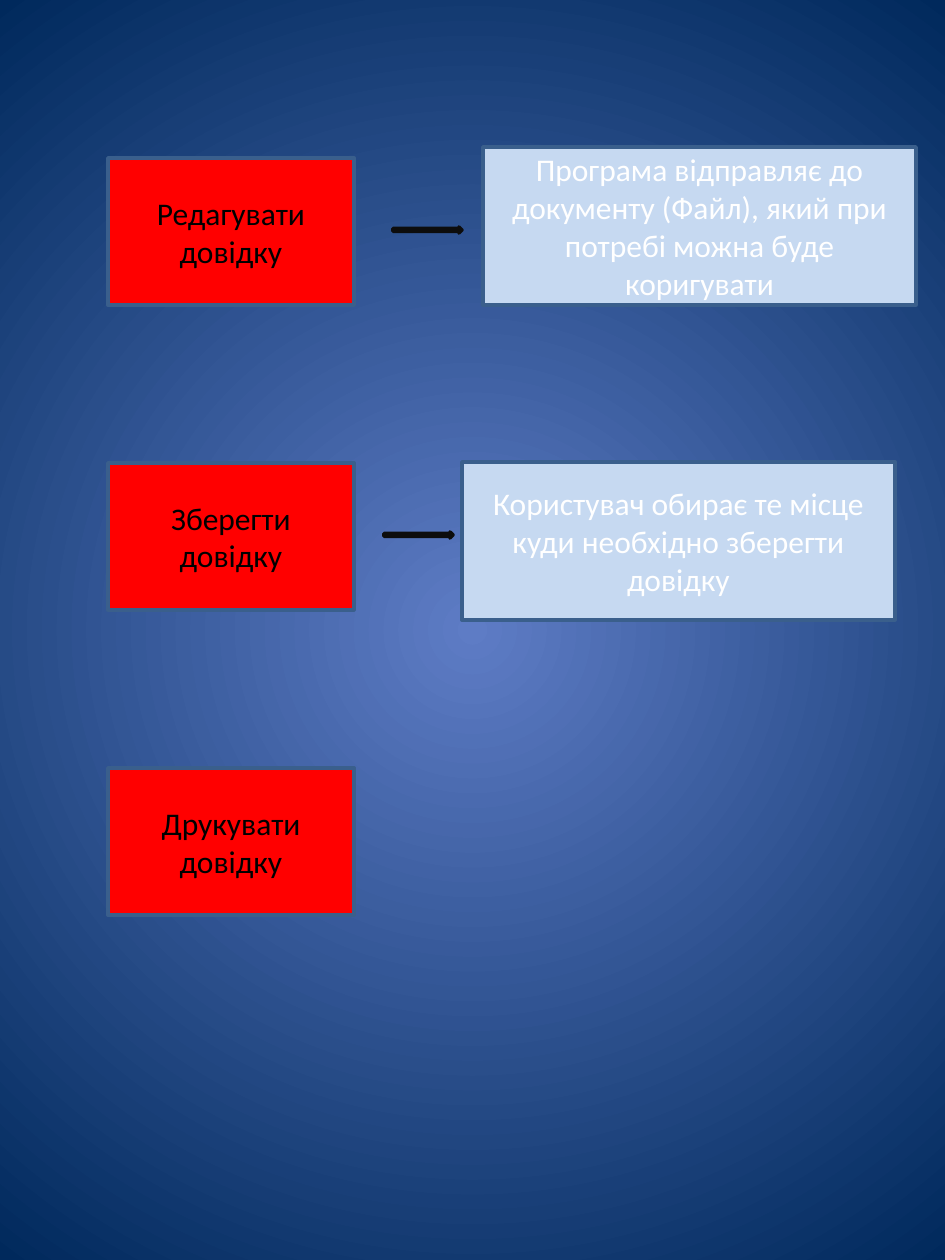
from lxml import etree
from pptx import Presentation
from pptx import util as u
from pptx.dml.color import RGBColor
from pptx.enum import shapes, text
from pptx.oxml.ns import qn

ACTIONS = ["Редагувати довідку", "Зберегти довідку", "Друкувати довідку"]
RESULTS = [
    ("Програма відправляє до документу (Файл), який при потребі можна буде коригувати", 483, 147),
    ("Користувач обирає те місце куди необхідно зберегти довідку", 462, 462),
]
ARROWS = [(393, 227), (384, 532)]
BACKGROUND = ["5E7CC5", "00295C"]

SLIDE_SIZE = (945, 1260)
ACTION_LEFT, ACTION_TOP, ACTION_STEP = 108, 158, 305
ACTION_SIZE = (246, 147)
RESULT_SIZE = (433, 158)
ARROW_SIZE = (69, 6)
BORDER = "3A5F8C"


def px(length):
    return u.Emu(round(length * 914400 / 126))


def colour(value):
    return RGBColor.from_string(value)


def add_figure(page, kind, place, size, fill, line):
    figure = page.shapes.add_shape(kind, *map(px, place + size))
    figure.shadow.inherit = False
    figure.fill.solid()
    figure.fill.fore_color.rgb = colour(fill)
    figure.line.color.rgb = colour(line)
    figure.line.width = u.Pt(2)
    return figure


def add_box(page, words, place, size, fill, ink):
    box = add_figure(page, shapes.MSO_SHAPE.RECTANGLE, place, size, fill, BORDER)
    frame = box.text_frame
    frame.text = words
    frame.word_wrap = True
    frame.vertical_anchor = text.MSO_ANCHOR.MIDDLE
    para = frame.paragraphs[0]
    para.alignment = text.PP_ALIGN.CENTER
    font = para.runs[0].font
    font.name = "Calibri"
    font.size = u.Pt(18)
    font.color.rgb = colour(ink)


def paint_background(page):
    fill = page.background.fill
    fill.gradient()
    for stop, value in zip(fill.gradient_stops, BACKGROUND):
        stop.color.rgb = colour(value)
    linear = next(page.background._cSld.iter(qn("a:lin")))
    radial = etree.Element(qn("a:path"), {"path": "circle"})
    etree.SubElement(radial, qn("a:fillToRect"), {side: "50000" for side in "ltrb"})
    linear.getparent().replace(linear, radial)


def main():
    deck = Presentation()
    deck.slide_width, deck.slide_height = map(px, SLIDE_SIZE)
    page = deck.slides.add_slide(deck.slide_layouts[6])
    paint_background(page)

    for row, words in enumerate(ACTIONS):
        place = (ACTION_LEFT, ACTION_TOP + row * ACTION_STEP)
        add_box(page, words, place, ACTION_SIZE, "FF0000", "000000")
    for arrow_place, (words, left, top) in zip(ARROWS, RESULTS):
        add_figure(page, shapes.MSO_SHAPE.RIGHT_ARROW, arrow_place, ARROW_SIZE, "0D0D0D", "0D0D0D")
        add_box(page, words, (left, top), RESULT_SIZE, "C6D9F1", "FFFFFF")

    deck.save("out.pptx")


if __name__ == "__main__":
    main()
